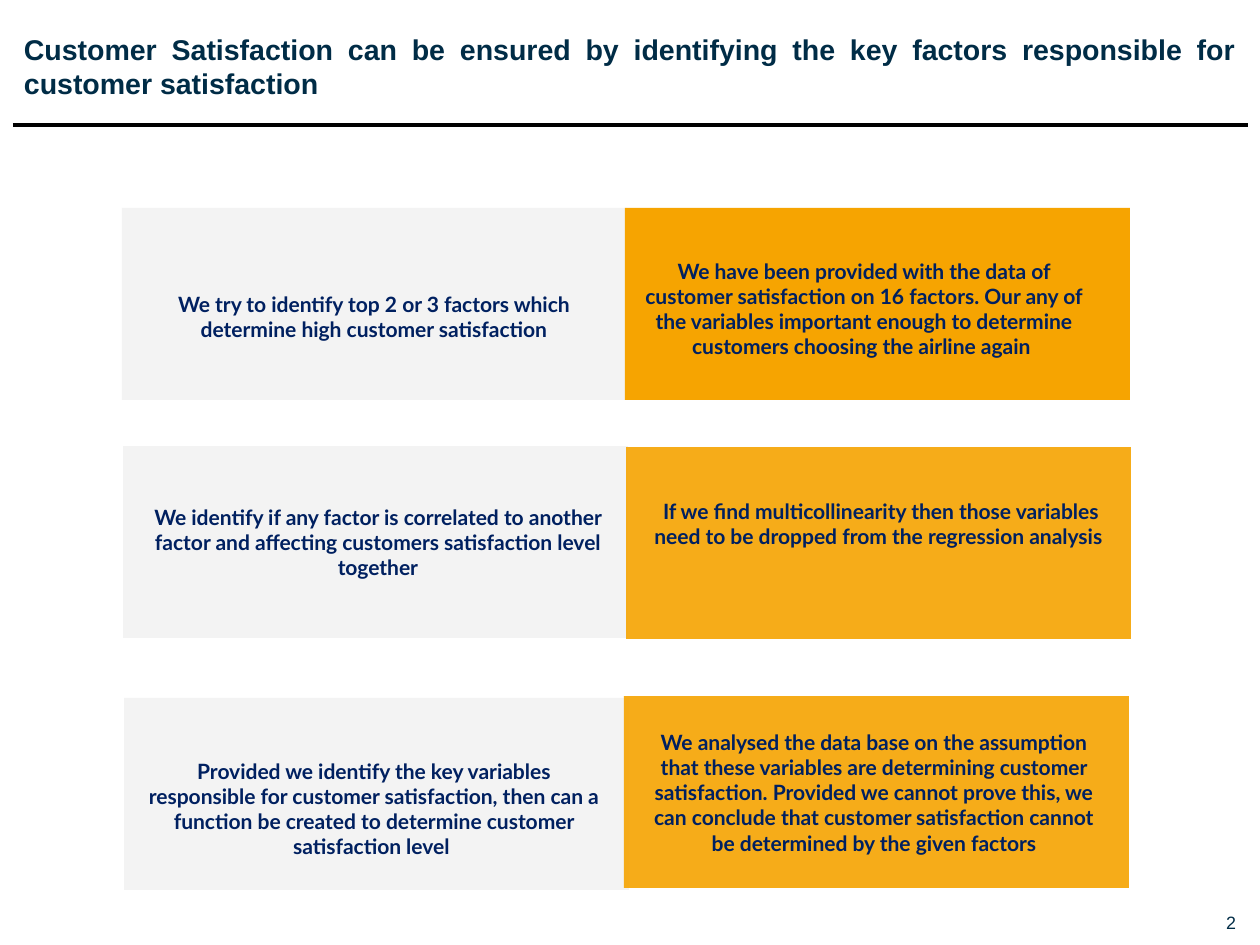
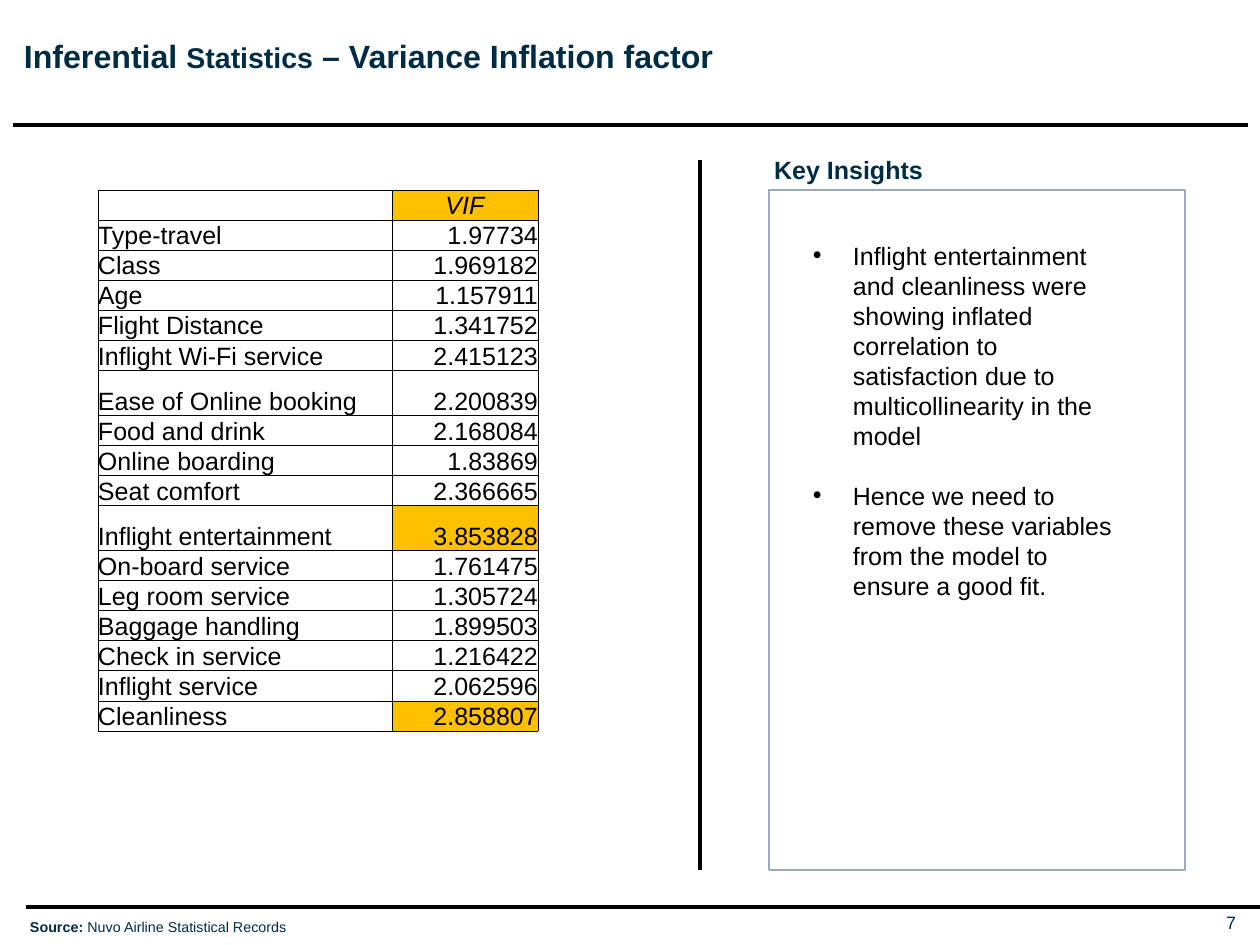
"""Build two airline satisfaction slides: study questions and variance inflation factors."""
from lxml.etree import SubElement
from pptx import Presentation
from pptx.dml.color import RGBColor
from pptx.enum.shapes import MSO_CONNECTOR, MSO_SHAPE
from pptx.enum.text import MSO_ANCHOR, PP_ALIGN
from pptx.oxml.ns import qn
from pptx.util import Pt

PX = 7112
COLORS = {"ink": "002C46", "navy": "002060", "black": "000000", "grey": "F2F2F2",
          "orange": "F6A401", "amber": "FFC000", "frame": "99AABE"}


def add_runs(p, runs, color="ink", font="Arial", align=None):
    p.alignment = align
    for text, size, bold in runs:
        r = p.add_run()
        r.text = text
        r.font.name = font
        r.font.size = Pt(size)
        r.font.bold = bold
        r.font.color.rgb = RGBColor.from_string(COLORS[color])


def add_text(s, box, runs, margins=(13, 6), **style):
    tf = s.shapes.add_textbox(*[v * PX for v in box]).text_frame
    tf.word_wrap = True
    tf.margin_left = tf.margin_right = margins[0] * PX
    tf.margin_top = tf.margin_bottom = margins[1] * PX
    add_runs(tf.paragraphs[0], runs, **style)
    return tf


prs = Presentation()
prs.slide_width, prs.slide_height = 1260 * PX, 945 * PX

headers = [
    (2, 32, PP_ALIGN.JUSTIFY, [("Customer Satisfaction can be ensured by identifying the key factors "
                                "responsible for customer satisfaction", 16, True)], []),
    (7, 36, PP_ALIGN.LEFT, [("Inferential ", 18, True), ("Statistics", 16, True),
                            (" – Variance Inflation factor", 18, True)],
     [(26, 907, 1260, 907), (700, 160, 700, 870)]),
]
for number, top, align, title, extra_lines in headers:
    s = prs.slides.add_slide(prs.slide_layouts[6])
    add_text(s, (1206, 912, 30, 22), [(str(number), 10, False)], (0, 0),
             align=PP_ALIGN.RIGHT)
    add_text(s, (24, top, 1212, 70), title, (0, 0), align=align)
    for x1, y1, x2, y2 in [(13, 125, 1248, 125)] + extra_lines:
        line = s.shapes.add_connector(MSO_CONNECTOR.STRAIGHT, x1 * PX, y1 * PX, x2 * PX, y2 * PX)
        line.line.width = Pt(2)
        line.line.color.rgb = RGBColor.from_string(COLORS["black"])
        SubElement(line._element.spPr, qn("a:effectLst"))

questions, insights = prs.slides

cards = [
    (122, 208, "grey", 85, 131, 285,
     "We try to identify top 2 or 3 factors which determine high customer satisfaction"),
    (625, 208, "orange", 100, 621, 252,
     "We have been provided with the data of customer satisfaction on 16 factors. Our any of the "
     "variables important enough to determine customers choosing the airline again "),
    (123, 446, "grey", 85, 135, 498,
     "We identify if any factor is correlated to another factor and affecting customers "
     "satisfaction level together"),
    (626, 447, "orange", 90, 638, 492,
     "If we find multicollinearity then those variables need to be dropped from the regression "
     "analysis "),
    (124, 698, "grey", 85, 131, 752,
     "Provided we identify the key variables responsible for customer satisfaction, then can a "
     "function be created to determine customer satisfaction level "),
    (624, 696, "orange", 90, 631, 723,
     "We analysed the data base on the assumption that these variables are determining customer "
     "satisfaction. Provided we cannot prove this, we can conclude that customer satisfaction "
     "cannot be determined by the given factors"),
]
for x, y, color, opacity, text_x, text_y, text in cards:
    sp = questions.shapes.add_shape(MSO_SHAPE.RECTANGLE, x * PX, y * PX, 505 * PX, 192 * PX)
    sp.shadow.inherit = False
    sp.line.fill.background()
    sp.fill.solid()
    sp.fill.fore_color.rgb = RGBColor.from_string(COLORS[color])
    if opacity < 100:
        clr = sp._element.spPr.find(qn("a:solidFill")).find(qn("a:srgbClr"))
        SubElement(clr, qn("a:alpha"), val=str(opacity * 1000))
    add_text(questions, (text_x, text_y, 486, 140), [(text, 11.8, True)],
             color="navy", font="Lato", align=PP_ALIGN.CENTER)

frame = insights.shapes.add_shape(MSO_SHAPE.RECTANGLE, 769 * PX, 190 * PX, 416 * PX, 680 * PX)
frame.shadow.inherit = False
frame.fill.background()
frame.line.width = Pt(1.5)
frame.line.color.rgb = RGBColor.from_string(COLORS["frame"])
add_text(insights, (761, 148, 215, 44), [("Key Insights", 14, True)])

factors = [
    ("", "VIF"), ("Type-travel", "1.97734"), ("Class", "1.969182"), ("Age", "1.157911"),
    ("Flight Distance", "1.341752"), ("Inflight Wi-Fi service", "2.415123"),
    ("Ease of Online booking", "2.200839"), ("Food and drink", "2.168084"),
    ("Online boarding", "1.83869"), ("Seat comfort", "2.366665"),
    ("Inflight entertainment", "3.853828"), ("On-board service", "1.761475"),
    ("Leg room service", "1.305724"), ("Baggage handling", "1.899503"),
    ("Check in service", "1.216422"), ("Inflight service", "2.062596"),
    ("Cleanliness", "2.858807"),
]
highlighted = ("VIF", "3.853828", "2.858807")
tall_rows = ("Ease of Online booking", "Inflight entertainment")
table = insights.shapes.add_table(len(factors), 2, 98 * PX, 190 * PX, 440 * PX, 540 * PX).table
table.first_row = table.horz_banding = False
table.columns[0].width, table.columns[1].width = 294 * PX, 146 * PX
for i, row in enumerate(factors):
    table.rows[i].height = (45 if row[0] in tall_rows else 30) * PX
    for j, text in enumerate(row):
        cell = table.cell(i, j)
        cell.margin_left = cell.margin_right = cell.margin_top = cell.margin_bottom = 0
        cell.vertical_anchor = MSO_ANCHOR.BOTTOM
        p = cell.text_frame.paragraphs[0]
        if text:
            align = PP_ALIGN.CENTER if i == 0 else (PP_ALIGN.LEFT, PP_ALIGN.RIGHT)[j]
            add_runs(p, [(text, 14, False)], color="black", align=align)
            p.runs[0].font.italic = i == 0
        else:
            SubElement(p._p, qn("a:endParaRPr"), sz="1400")
        tcPr = cell._tc.get_or_add_tcPr()
        for side in ("a:lnL", "a:lnR", "a:lnT", "a:lnB"):
            ln = SubElement(tcPr, qn(side), w=str(Pt(0.5)))
            SubElement(SubElement(ln, qn("a:solidFill")), qn("a:srgbClr"), val=COLORS["black"])
        if text in highlighted:
            cell.fill.solid()
            cell.fill.fore_color.rgb = RGBColor.from_string(COLORS["amber"])
        else:
            cell.fill.background()

tf = add_text(insights, (800, 234, 342, 346),
              [("Inflight entertainment and cleanliness were showing inflated correlation to "
                "satisfaction due to multicollinearity in the model", 14, False)], color="black")
p = tf.add_paragraph()
p.space_before = Pt(16.8)
add_runs(p, [("Hence we need to remove these variables from the model to ensure a good fit.",
              14, False)], color="black")
for p in tf.paragraphs:
    pPr = p._p.get_or_add_pPr()
    pPr.set("marL", str(40 * PX))
    pPr.set("indent", str(-40 * PX))
    SubElement(SubElement(pPr, qn("a:buClr")), qn("a:srgbClr"), val=COLORS["black"])
    SubElement(pPr, qn("a:buFont"), typeface="Arial")
    SubElement(pPr, qn("a:buChar"), char="•")

add_text(insights, (17, 912, 345, 31),
         [("Source: ", 8, True), ("Nuvo Airline Statistical Records", 8, False)])

prs.save("out.pptx")
